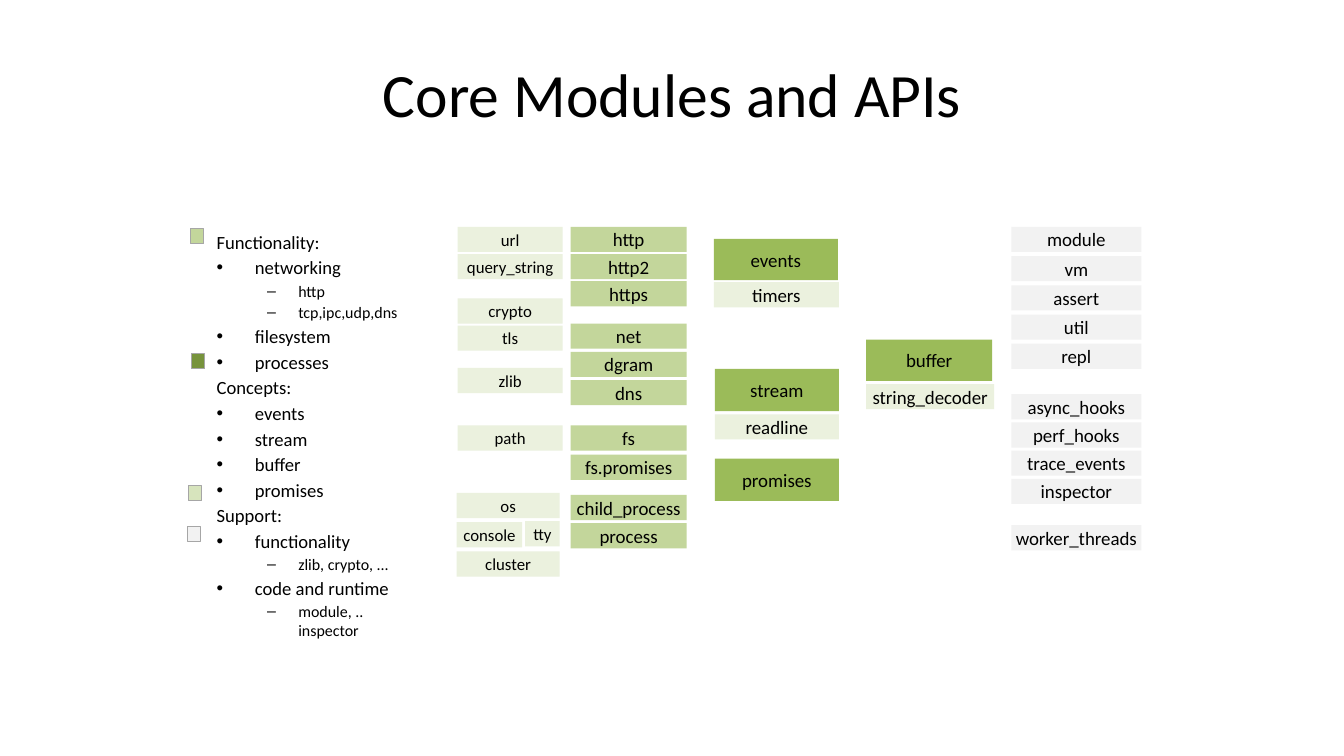
from lxml.etree import SubElement
from pptx import Presentation
from pptx.dml.color import RGBColor
from pptx.enum.shapes import MSO_SHAPE as Shape
from pptx.enum.text import MSO_ANCHOR as Anchor, PP_ALIGN as Align
from pptx.oxml.ns import qn
from pptx.util import Pt

EMU_PER_PX = 9144  # 100 px to the inch

BLACK = RGBColor(0x00, 0x00, 0x00)
GREY = RGBColor(0xF2, 0xF2, 0xF2)
OUTLINE = RGBColor(0xA6, 0xA6, 0xA6)
PALE_GREEN = RGBColor(0xEB, 0xF1, 0xDE)
SOFT_GREEN = RGBColor(0xD7, 0xE4, 0xBD)
LIGHT_GREEN = RGBColor(0xC3, 0xD6, 0x9B)
GREEN = RGBColor(0x9B, 0xBB, 0x59)
DARK_GREEN = RGBColor(0x77, 0x93, 0x3C)

# Outline level: (size, space before, left margin, indent, bullet)
LEVELS = [
    (13.3, 2.3, 0, 0, None),
    (13.3, 2.3, 38, -38, "•"),
    (11.4, 1.8, 81, -31, "–"),
]

OUTLINE_ITEMS = [
    (0, "Functionality:"),
    (1, "networking"),
    (2, "http"),
    (2, "tcp,ipc,udp,dns"),
    (1, "filesystem"),
    (1, "processes"),
    (0, "Concepts:"),
    (1, "events"),
    (1, "stream"),
    (1, "buffer"),
    (1, "promises"),
    (0, "Support:"),
    (1, "functionality"),
    (2, "zlib, crypto, ..."),
    (1, "code and runtime"),
    (2, "module, .. inspector"),
]

# Column: (left, width, fill, text size, groups of (top, pitch, names))
COLUMNS = [
    (454, 104, PALE_GREEN, 12, [
        (225, 27, ["url", "query_string"]),
        (296, 27, ["crypto", "tls"]),
        (365, 27, ["zlib"]),
        (422, 27, ["path"]),
    ]),
    (453, 102, PALE_GREEN, 12, [(489, 58, ["os", "cluster"])]),
    (453, 65, PALE_GREEN, 12, [(518, 29, ["console"])]),
    (521, 34, PALE_GREEN, 12, [(517, 29, ["tty"])]),
    (566, 115, LIGHT_GREEN, 13.5, [
        (225, 27, ["http", "http2", "https"]),
        (321, 28, ["net", "dgram", "dns"]),
        (422, 29, ["fs", "fs.promises"]),
        (491, 28, ["child_process", "process"]),
    ]),
    (1003, 129, GREY, 13.5, [
        (225, 29, ["module", "vm", "assert", "util", "repl"]),
        (391, 28, ["async_hooks", "perf_hooks", "trace_events", "inspector"]),
        (521, 28, ["worker_threads"]),
    ]),
]

# Concept: (name, left, top, width, height)
CONCEPTS = [
    ("events", 708, 237, 123, 41),
    ("stream", 709, 366, 123, 42),
    ("promises", 709, 455, 123, 42),
    ("buffer", 859, 337, 125, 41),
]

# Helper module: (name, left, top, width)
HELPERS = [
    ("timers", 708, 280, 124),
    ("readline", 709, 411, 123),
    ("string_decoder", 859, 381, 127),
]

# Legend swatch: (left, top, fill)
SWATCHES = [
    (189, 227, LIGHT_GREEN),
    (190, 351, DARK_GREEN),
    (187, 482, SOFT_GREEN),
    (186, 522, GREY),
]


def px(*lengths):
    return [length * EMU_PER_PX for length in lengths]


class SlideBuilder:
    font = "Calibri"
    row_height = 25

    def __init__(self, deck):
        self.slide = deck.slides.add_slide(deck.slide_layouts[6])

    def add_text(self, para, text, size=13.5, color=BLACK, align=Align.LEFT, before=0):
        para.alignment = align
        para.space_before = Pt(before)
        span = para.add_run()
        span.text = text
        span.font.name = self.font
        span.font.size = Pt(size)
        span.font.color.rgb = color

    def text_box(self, left, top, width, height, anchor=Anchor.TOP):
        frame = self.slide.shapes.add_textbox(*px(left, top, width, height)).text_frame
        frame.word_wrap = True
        frame.vertical_anchor = anchor
        return frame

    def title(self, text, left, top, width, height):
        frame = self.text_box(left, top, width, height, Anchor.MIDDLE)
        self.add_text(frame.paragraphs[0], text, size=44, align=Align.CENTER)

    def outline(self, items, left, top, width, height):
        """Add a multi-level list, styled by LEVELS."""
        frame = self.text_box(left, top, width, height)
        for index, (level, text) in enumerate(items):
            para = frame.add_paragraph() if index else frame.paragraphs[0]
            size, before, margin, indent, bullet = LEVELS[level]
            self.add_text(para, text, size=size, before=before)
            if bullet:
                margin, indent = px(margin, indent)
                properties = para._p.get_or_add_pPr()
                properties.set("marL", str(margin))
                properties.set("indent", str(indent))
                SubElement(properties, qn("a:buFont"), typeface="Arial")
                SubElement(properties, qn("a:buChar"), char=bullet)

    def rectangle(self, left, top, width, height, fill, line=None):
        box = self.slide.shapes.add_shape(Shape.RECTANGLE, *px(left, top, width, height))
        box.shadow.inherit = False
        box.fill.solid()
        box.fill.fore_color.rgb = fill
        if line is None:
            box.line.fill.background()
        else:
            box.line.color.rgb = line
            box.line.width = Pt(0.75)
        return box

    def module(self, name, left, top, width, fill, height=row_height, size=13.5):
        frame = self.rectangle(left, top, width, height, fill).text_frame
        frame.word_wrap = True
        frame.vertical_anchor = Anchor.MIDDLE
        frame.margin_left, frame.margin_right = px(3, 3)
        frame.margin_top, frame.margin_bottom = px(4, 4)
        self.add_text(frame.paragraphs[0], name, size=size, align=Align.CENTER)

    def column(self, left, width, fill, size, groups):
        for top, pitch, names in groups:
            for row, name in enumerate(names):
                self.module(name, left, top + row * pitch, width, fill, size=size)


def main():
    deck = Presentation()
    deck.slide_width, deck.slide_height = px(1333, 750)
    builder = SlideBuilder(deck)
    builder.title("Core Modules and APIs", 67, 30, 1200, 125)
    builder.outline(OUTLINE_ITEMS, 205, 224, 219, 371)
    for column in COLUMNS:
        builder.column(*column)
    for name, left, top, width, height in CONCEPTS:
        builder.module(name, left, top, width, GREEN, height=height)
    for name, left, top, width in HELPERS:
        builder.module(name, left, top, width, PALE_GREEN)
    for left, top, fill in SWATCHES:
        builder.rectangle(left, top, 13, 15, fill, line=OUTLINE)
    deck.save("out.pptx")


if __name__ == "__main__":
    main()
